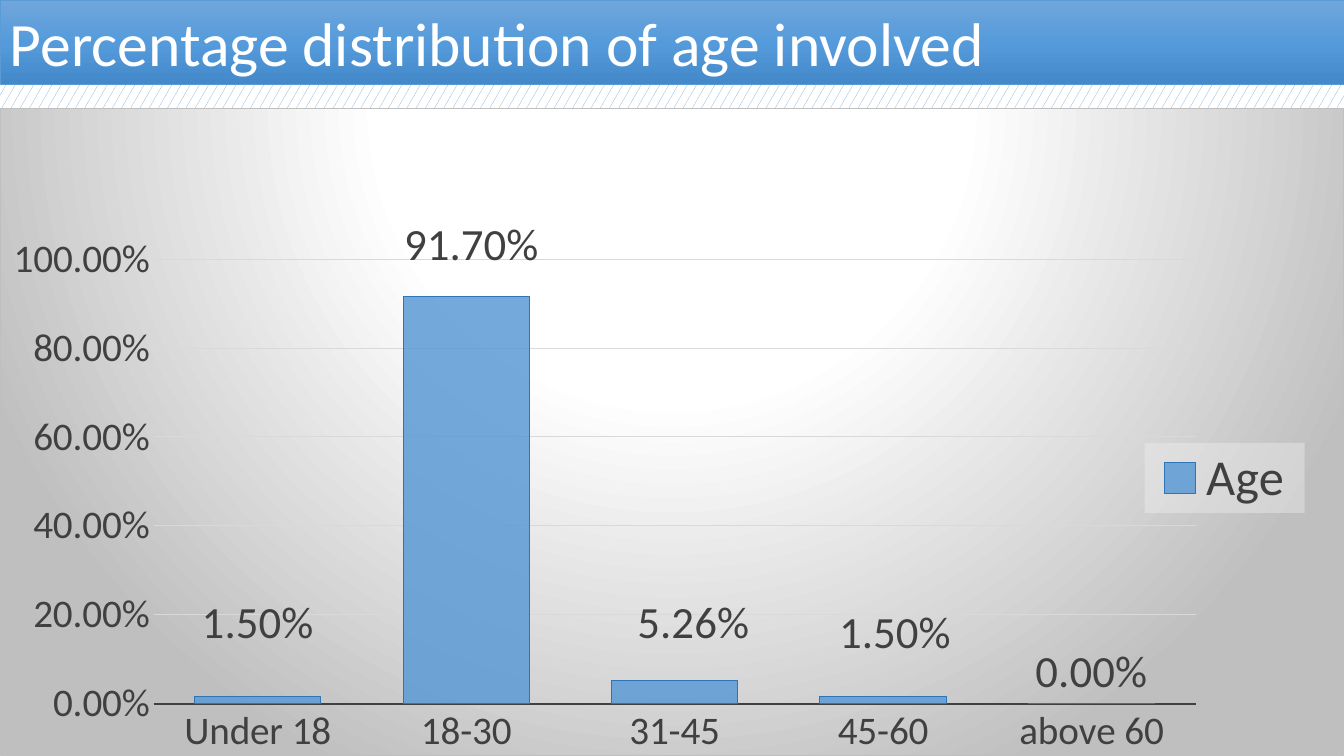
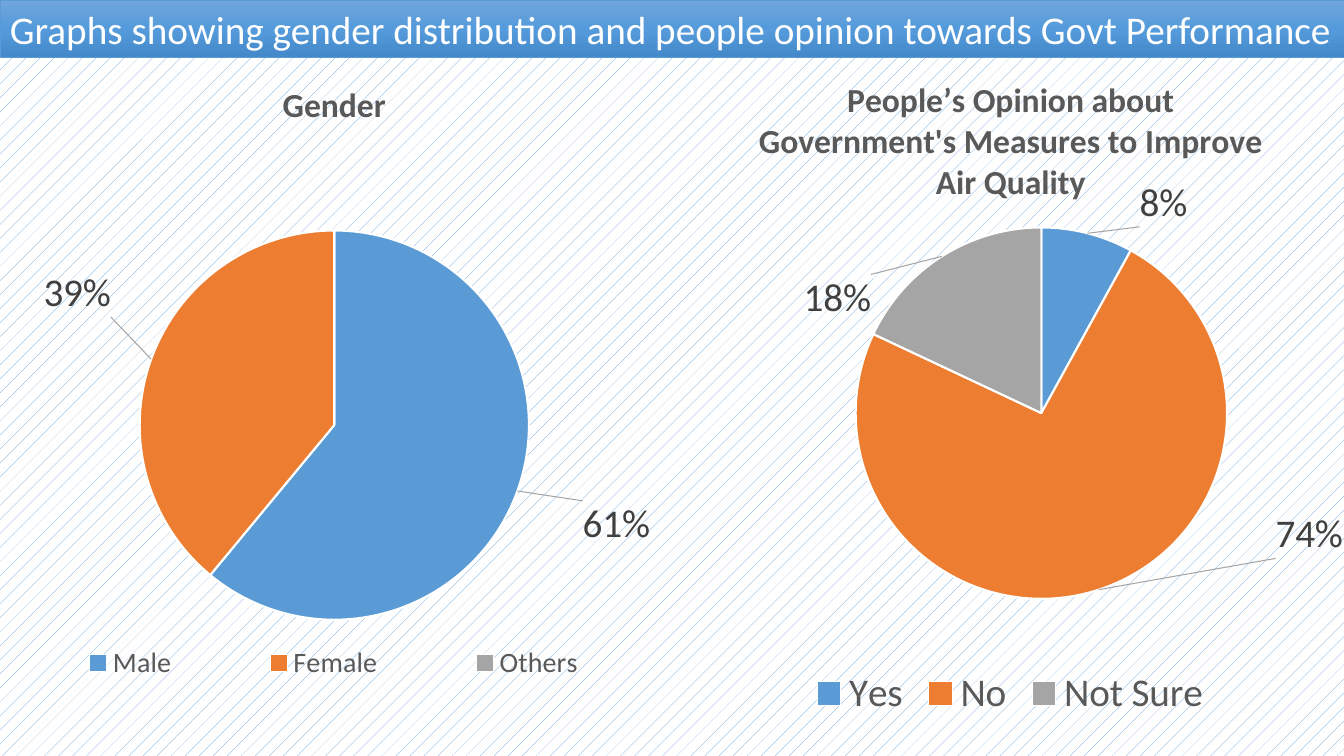
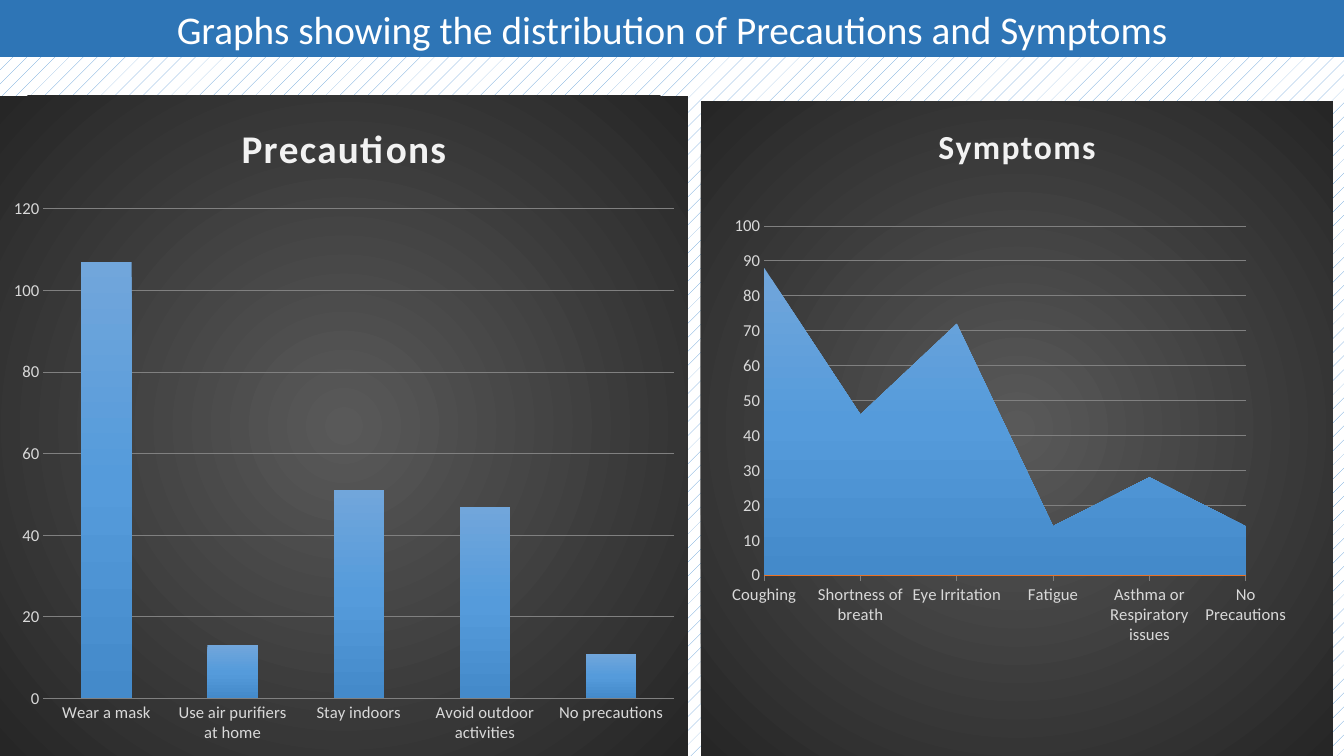
from pptx import Presentation
from pptx.chart.data import CategoryChartData
from pptx.dml.color import RGBColor
from pptx.enum.chart import XL_CHART_TYPE, XL_LABEL_POSITION, XL_LEGEND_POSITION, XL_TICK_MARK
from pptx.enum.dml import MSO_PATTERN
from pptx.enum.shapes import MSO_SHAPE
from pptx.enum.text import MSO_ANCHOR, MSO_AUTO_SIZE, PP_ALIGN
from pptx.oxml import parse_xml
from pptx.oxml.ns import nsdecls, qn
from pptx.util import Emu, Pt

PX = 914400 / 100.8
WIDE, HIGH = 1344, 756
FONT = "Calibri"
HEX = {
    "white": "FFFFFF", "pale": "F2F2F2", "light": "D9D9D9", "silver": "BFBFBF",
    "mid": "808080", "gray": "595959", "dark": "404040", "black": "000000", "coal": "262626",
    "blue": "5B9BD5", "navy": "2E75B6", "orange": "ED7D31", "steel": "A5A5A5",
}
SLICES = ["blue", "orange", "steel"]
# Stops of the linear gradients, one per series
BLUES = [(0, "71A6DB"), (50, "559BDB"), (100, "448ACA")]
SHADES = [
    BLUES,
    [(0, "F18C57"), (50, "F67B28"), (100, "E56C19")],
    [(0, "AFAFAF"), (50, "A5A5A5"), (100, "939393")],
]
NS = nsdecls("c", "a")


def px(num):
    return Emu(round(num * PX))


def rgb(name):
    return RGBColor.from_string(HEX[name])


def style(font, size, color, bold=False):
    font.name, font.size, font.bold = FONT, Pt(size), bold
    font.color.rgb = rgb(color)


def stroke(line, color, width):
    if color is None:
        line.fill.background()
    else:
        line.color.rgb = rgb(color)
        line.width = Pt(width)


# Fills

def solid(name, alpha):
    return (f'<a:solidFill {NS}><a:srgbClr val="{HEX[name]}">'
            f'<a:alpha val="{alpha * 1000}"/></a:srgbClr></a:solidFill>')


def blend(stops, rect=None):
    """Linear from top to bottom, or circular towards rect."""
    marks = "".join(f'<a:gs pos="{pos * 1000}"><a:srgbClr val="{color}"/></a:gs>'
                    for pos, color in stops)
    if rect:
        sides = " ".join(f'{side}="{num * 1000}"' for side, num in zip("ltrb", rect))
        way = f'<a:path path="circle"><a:fillToRect {sides}/></a:path>'
    else:
        way = '<a:lin ang="5400000" scaled="0"/>'
    return f'<a:gradFill {NS} rotWithShape="1"><a:gsLst>{marks}</a:gsLst>{way}</a:gradFill>'


def paint(fill, props, xml):
    fill.solid()
    old = props().find(qn("a:solidFill"))
    old.getparent().replace(old, parse_xml(xml))


def frame(fill="<a:noFill/>", line=None):
    edge = f'<a:solidFill><a:srgbClr val="{HEX[line]}"/></a:solidFill>' if line else "<a:noFill/>"
    return parse_xml(f'<c:spPr {NS}>{fill}<a:ln w="9525">{edge}</a:ln></c:spPr>')


# Chart parts

def layout(x, y, w=None, h=None, inner=False):
    tags = '<c:layoutTarget val="inner"/>' if inner else ""
    tags += '<c:xMode val="edge"/><c:yMode val="edge"/>'
    tags += "".join(f'<c:{key} val="{num}"/>' for key, num in zip("xywh", (x, y, w, h))
                    if num is not None)
    return f"<c:layout {NS}><c:manualLayout>{tags}</c:manualLayout></c:layout>"


def place(part, index, xml):
    old = part.find(qn("c:layout"))
    if old is not None:
        part.remove(old)
    part.insert(index, parse_xml(xml))


def graph(slide, kind, box, cats, series, plot, back=None, line=None, form="General"):
    data = CategoryChartData(number_format=form)
    data.categories = cats
    for name, vals in series:
        data.add_series(name, vals)
    chart = slide.shapes.add_chart(kind, *map(px, box), data).chart
    style(chart.font, 10, "black")
    chart.has_legend = chart.has_title = False
    root = chart.element
    root.find(qn("c:chart")).addnext(frame(back or "<a:noFill/>", line))
    area = root.find(qn("c:chart")).find(qn("c:plotArea"))
    place(area, 0, layout(*plot, inner=True))
    area.append(frame())
    return chart


def title(chart, text, size, color, spot, space=0):
    chart.has_title = True
    head = chart.chart_title
    para = head.text_frame.paragraphs[0]
    para.text = text
    for run in para.runs:
        style(run.font, size, color, True)
        if space:
            run.font._element.set("spc", str(space))
    place(head._element, 1, layout(*spot))


def legend(chart, size, color, spot=None, back=None):
    chart.has_legend = True
    key = chart.legend
    key.position = XL_LEGEND_POSITION.BOTTOM
    key.include_in_layout = False
    style(key.font, size, color)
    if spot:
        place(key._element, 1, layout(*spot))
    if back:
        key._element.find(qn("c:overlay")).addnext(frame(back))


def axes(chart, size, color, grid, top, step, base=None, width=0.75, form="General"):
    for axis in (chart.category_axis, chart.value_axis):
        axis.major_tick_mark = axis.minor_tick_mark = XL_TICK_MARK.NONE
        style(axis.tick_labels.font, size, color)
    stroke(chart.category_axis.format.line, base, width)
    axis = chart.value_axis
    stroke(axis.format.line, None, 0)
    axis.has_major_gridlines = True
    stroke(axis.major_gridlines.format.line, grid, 0.75)
    axis.minimum_scale, axis.maximum_scale, axis.major_unit = 0, top, step
    axis.tick_labels.number_format = form
    axis.tick_labels.number_format_is_linked = False


def leaders(tags, shown):
    """Gray lines from the labels to their slices, or none."""
    for old in tags.findall(qn("c:showLeaderLines")):
        tags.remove(old)
    tags.append(parse_xml(f'<c:showLeaderLines {NS} val="{int(shown)}"/>'))
    if shown:
        lines = parse_xml(f"<c:leaderLines {NS}/>")
        lines.append(frame("", "steel"))
        tags.append(lines)


def labels(series, size, form, pos, moves, share=False):
    """Label every point; moves are shifts as parts of the chart size."""
    tags = series.data_labels
    style(tags.font, size, "dark")
    tags.number_format, tags.number_format_is_linked = form, False
    tags.position = pos
    tags.show_value, tags.show_percentage = not share, share
    leaders(tags._element, share)
    spot = XL_LABEL_POSITION.to_xml(pos)
    shows = {"LegendKey": 0, "Val": int(not share), "CatName": 0, "SerName": 0,
             "Percent": int(share), "BubbleSize": 0}
    flags = "".join(f'<c:show{key} val="{on}"/>' for key, on in shows.items())
    for num, (x, y) in enumerate(moves):
        tags._element.insert(num, parse_xml(
            f'<c:dLbl {NS}><c:idx val="{num}"/><c:layout><c:manualLayout>'
            f'<c:x val="{x}"/><c:y val="{y}"/></c:manualLayout></c:layout>'
            f'<c:numFmt formatCode="{form}" sourceLinked="0"/>'
            f'<c:dLblPos val="{spot}"/>{flags}</c:dLbl>'))


def tint(series, xml):
    paint(series.format.fill, lambda: series._element.find(qn("c:spPr")), xml)


def pie(slide, box, cats, name, vals, plot, moves):
    chart = graph(slide, XL_CHART_TYPE.PIE, box, cats, [(name, vals)], plot)
    series = chart.plots[0].series[0]
    for num, color in enumerate(SLICES):
        look = series.points[num].format
        look.fill.solid()
        look.fill.fore_color.rgb = rgb(color)
        stroke(look.line, "white", 1.5)
    labels(series, 28, "0%", XL_LABEL_POSITION.CENTER, moves, True)
    return chart


def night(slide, kind, box, cats, vals, plot, top, step, base=None):
    """Chart on a dark round gradient, with two empty series."""
    rows = [("Series 1", vals)] + [(f"Series {num}", [None] * len(vals)) for num in (2, 3)]
    back = blend([(0, HEX["gray"]), (100, HEX["coal"])], (50, 50, 50, 50))
    chart = graph(slide, kind, box, cats, rows, plot, back)
    chart.plots[0].vary_by_categories = False
    for series, stops in zip(chart.plots[0].series, SHADES):
        tint(series, blend(stops))
    axes(chart, 11.9, "light", "mid", top, step, base)
    return chart


# Slide parts

def page(deck, pattern):
    slide = deck.slides.add_slide(deck.slide_layouts[6])
    fill = slide.background.fill
    fill.patterned()
    fill.pattern = pattern
    fill.fore_color.rgb, fill.back_color.rgb = rgb("blue"), rgb("white")
    return slide


def band(slide, text, high, size, flat=False):
    bar = slide.shapes.add_shape(MSO_SHAPE.RECTANGLE, 0, 0, px(WIDE), px(high))
    bar.shadow.inherit = False
    if flat:
        bar.fill.solid()
        bar.fill.fore_color.rgb = rgb("navy")
        stroke(bar.line, None, 0)
    else:
        paint(bar.fill, lambda: bar._element.spPr, blend(BLUES))
        stroke(bar.line, "blue", 0.5)
    body = bar.text_frame
    body.word_wrap = True
    body.auto_size = MSO_AUTO_SIZE.SHAPE_TO_FIT_TEXT
    body.vertical_anchor = MSO_ANCHOR.MIDDLE
    body.text = text
    para = body.paragraphs[0]
    para.alignment = PP_ALIGN.CENTER if flat else PP_ALIGN.LEFT
    style(para.runs[0].font, size, "white")


# Slides

def ages(deck):
    slide = page(deck, MSO_PATTERN.SMALL_CONFETTI)
    back = blend([(0, HEX["white"]), (39, HEX["white"]), (100, HEX["silver"])],
                 (50, -80, 50, 180))
    chart = graph(slide, XL_CHART_TYPE.COLUMN_CLUSTERED, (0, 108, WIDE, 648),
                  ["Under 18", "18-30", "31-45", "45-60", "above 60"],
                  [("Age", [0.015, 0.917, 0.0526, 0.015, 0])],
                  (0.114, 0.233, 0.776, 0.687), back, "silver", "0.00%")
    plot = chart.plots[0]
    plot.gap_width, plot.vary_by_categories = 65, False
    series = plot.series[0]
    tint(series, solid("blue", 85))
    stroke(series.format.line, "navy", 0.75)
    axes(chart, 28, "dark", "light", 1, 0.2, "dark", 1.5, "0.00%")
    labels(series, 32, "0.00%", XL_LABEL_POSITION.OUTSIDE_END,
           [(0, -0.065), (0.004, -0.03), (0.014, -0.039), (0.009, -0.049)])
    legend(chart, 36, "dark", (0.852, 0.517, 0.119, 0.108), solid("pale", 39))
    band(slide, "Percentage distribution of age involved", 84, 44)


def views(deck):
    slide = page(deck, MSO_PATTERN.PERCENT_5)
    chart = pie(slide, (0, 58, 668, 651), ["Male", "Female", "Others"],
                "Gender", [61, 39, 0], (0.208, 0.265, 0.585, 0.598),
                [(0.285, 0.102), (-0.248, -0.152)])
    title(chart, "Gender", 24, "gray", (0.414, 0.028))
    legend(chart, 20, "gray", (0, 0.884, 1, 0.09))
    chart = pie(slide, (676, 58, 668, 667), ["Yes", "No", "Not Sure"],
                "Series 1", [8, 74, 18], (0.269, 0.254, 0.556, 0.557),
                [(0.148, -0.18), (0.358, 0.05), (-0.231, -0.055)])
    title(chart, "People’s Opinion about Government's Measures to Improve Air Quality",
          24, "gray", (0.115, 0.02))
    legend(chart, 28, "gray")
    band(slide, "Graphs showing gender distribution and people opinion towards Govt Performance",
         57, 28)


def signs(deck):
    slide = page(deck, MSO_PATTERN.PERCENT_5)
    chart = night(slide, XL_CHART_TYPE.COLUMN_STACKED, (0, 96, 688, 660),
                  ["Wear a mask", "Use air purifiers at home", "Stay indoors",
                   "Avoid outdoor activities", "No precautions"],
                  [107, 13, 51, 47, 11], (0.063, 0.171, 0.917, 0.742), 120, 20)
    chart.plots[0].gap_width, chart.plots[0].overlap = 150, 100
    title(chart, "Precautions", 28, "pale", (0.341, 0.028), 100)
    chart = night(slide, XL_CHART_TYPE.AREA, (701, 101, 632, 655),
                  ["Coughing", "Shortness of breath", "Eye Irritation", "Fatigue",
                   "Asthma or Respiratory issues", "No Precautions"],
                  [88, 46, 72, 14, 28, 14], (0.1, 0.191, 0.762, 0.533), 100, 10, "mid")
    chart.category_axis.major_tick_mark = XL_TICK_MARK.OUTSIDE
    for cross in chart.element.iter(qn("c:crossBetween")):
        cross.set("val", "midCat")
    title(chart, "Symptoms", 24, "pale", (0.366, 0.026), 100)
    band(slide, "Graphs showing the distribution of Precautions and Symptoms", 57, 28, True)


def main():
    deck = Presentation()
    deck.slide_width, deck.slide_height = px(WIDE), px(HIGH)
    for build in (ages, views, signs):
        build(deck)
    deck.save("out.pptx")


if __name__ == "__main__":
    main()
